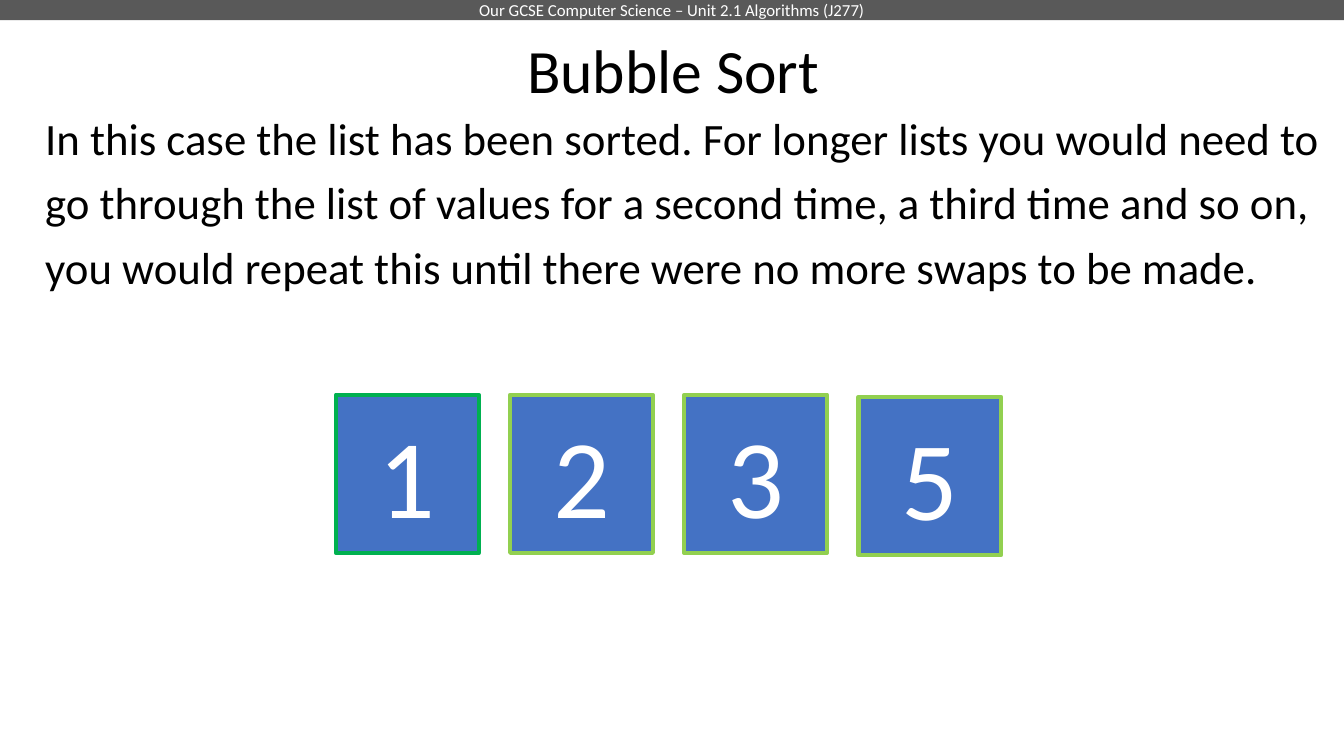
from pptx import Presentation
from pptx.dml.color import RGBColor
from pptx.enum.shapes import MSO_SHAPE
from pptx.enum.text import MSO_ANCHOR, PP_ALIGN
from pptx.util import Pt

RECTANGLE = MSO_SHAPE.RECTANGLE
TOP, MIDDLE = MSO_ANCHOR.TOP, MSO_ANCHOR.MIDDLE
LEFT, CENTER = PP_ALIGN.LEFT, PP_ALIGN.CENTER
BLACK = RGBColor(0x00, 0x00, 0x00)
WHITE = RGBColor(0xFF, 0xFF, 0xFF)
GREY = RGBColor(0x59, 0x59, 0x59)
BLUE = RGBColor(0x44, 0x72, 0xC4)
GREEN = RGBColor(0x00, 0xB0, 0x50)
LIME = RGBColor(0x92, 0xD0, 0x50)


class SlideBuilder:
    """Hold the text style and the current slide."""

    def __init__(self, slide, font_name):
        self.slide = slide
        self.font_name = font_name

    def fill_text(self, shape, text, size, color, align, anchor, spacing=1.0):
        frame = shape.text_frame
        frame.word_wrap = True
        frame.vertical_anchor = anchor
        paragraph = frame.paragraphs[0]
        paragraph.text = text
        paragraph.alignment = align
        paragraph.line_spacing = spacing
        font_format = {"name": self.font_name, "size": Pt(size)}
        for name, value in font_format.items():
            setattr(paragraph.font, name, value)
        paragraph.font.color.rgb = color

    def text(self, bounds, text, size, align, anchor, spacing):
        shape = self.slide.shapes.add_textbox(*map(Pt, bounds))
        self.fill_text(shape, text, size, BLACK, align, anchor, spacing)

    def box(self, bounds, text, size, fill, border=None):
        shape = self.slide.shapes.add_shape(RECTANGLE, *map(Pt, bounds))
        shape.shadow.inherit = False
        shape.fill.solid()
        shape.fill.fore_color.rgb = fill
        if border is None:
            shape.line.fill.background()
        else:
            shape.line.color.rgb = border
            shape.line.width = Pt(3)
        self.fill_text(shape, text, size, WHITE, CENTER, MIDDLE)


def main():
    presentation = Presentation()
    presentation.slide_width = Pt(960)
    presentation.slide_height = Pt(540)
    slide = presentation.slides.add_slide(presentation.slide_layouts[6])
    builder = SlideBuilder(slide, "Calibri")

    builder.box((0, 0, 960, 14.4),
                "Our GCSE Computer Science – Unit 2.1 Algorithms (J277)", 12, GREY)
    builder.text((170.6, 0, 620.6, 104.4), "Bubble Sort", 44, CENTER, MIDDLE, 0.9)

    cards = [("1", GREEN, 282), ("2", LIME, 282), ("3", LIME, 282), ("5", LIME, 283.5)]
    for index, (number, border, top) in enumerate(cards):
        builder.box((240 + index * 124.4, top, 102, 113), number, 80, BLUE, border)

    builder.text(
        (25.2, 67.7, 925.9, 196.6),
        "In this case the list has been sorted. For longer lists you would need to "
        "go through the list of values for a second time, a third time and so on, "
        "you would repeat this until there were no more swaps to be made.",
        32, LEFT, TOP, 1.2)

    presentation.save("out.pptx")


if __name__ == "__main__":
    main()
